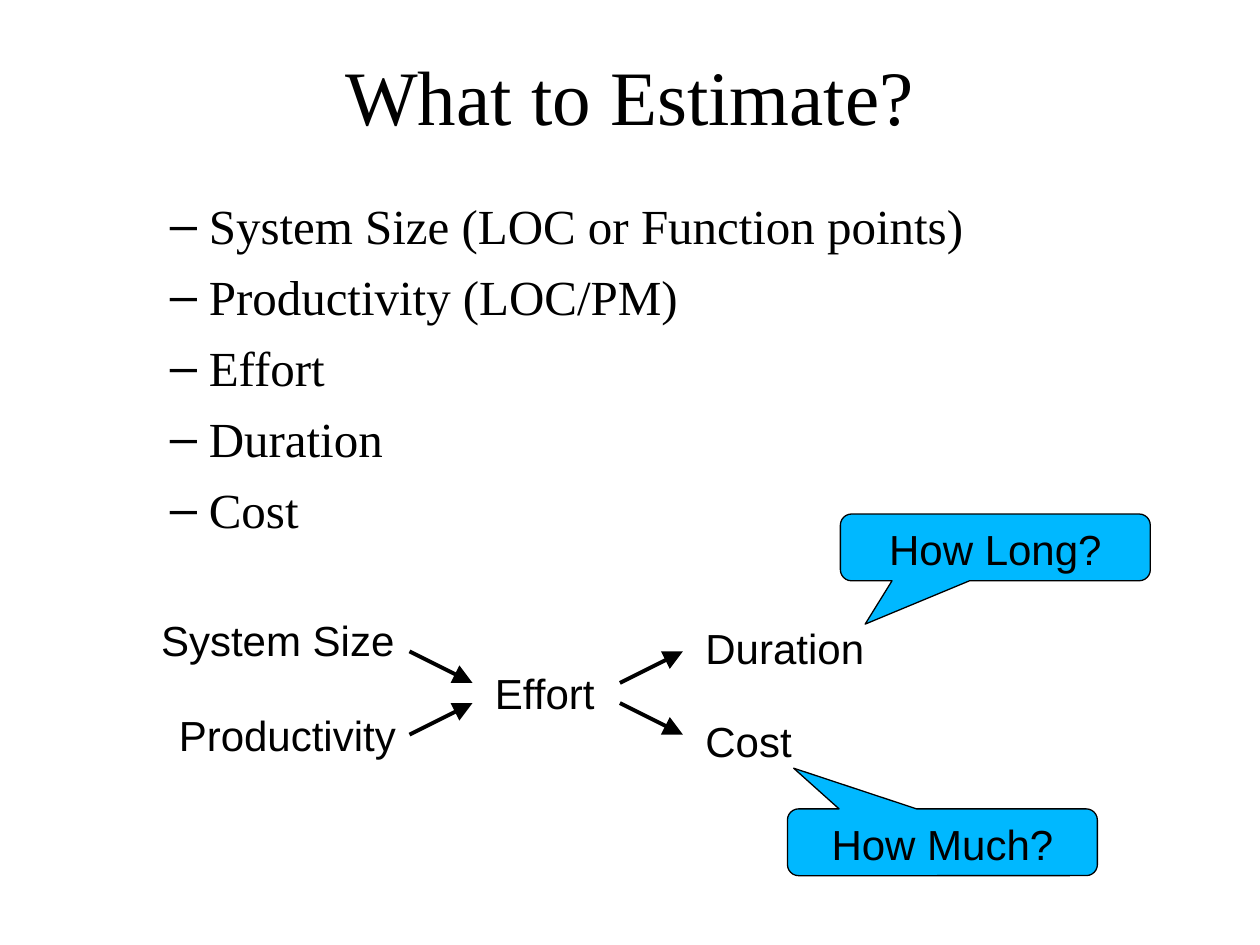
import pptx
import pptx.util
import pptx.dml.color
import pptx.enum.shapes
import pptx.enum.text
import pptx.oxml.ns
import lxml.etree

Inches = pptx.util.Inches
Pt = pptx.util.Pt
ALIGN = pptx.enum.text.PP_ALIGN
ANCHOR = pptx.enum.text.MSO_ANCHOR
BLACK = pptx.dml.color.RGBColor(0x00, 0x00, 0x00)
SKY = pptx.dml.color.RGBColor(0x00, 0xB8, 0xFF)
SERIF, SANS = "Times New Roman", "Arial"

TOPICS = ["System Size (LOC or Function points)", "Productivity (LOC/PM)",
          "Effort", "Duration", "Cost"]


def add_xml(parent, tag, **attributes):
    """Append a DrawingML child element."""
    return lxml.etree.SubElement(parent, pptx.oxml.ns.qn(tag), attributes)


def add_span(para, words, size, font):
    span = para.add_run()
    span.text = words
    span.font.size = Pt(size)
    span.font.name = font
    span.font.color.rgb = BLACK


def add_box(page, left, top, width, height, wrap=True):
    box = page.shapes.add_textbox(
        Inches(left), Inches(top), Inches(width), Inches(height))
    box.text_frame.word_wrap = wrap
    return box.text_frame


def add_title(page, left, top, width, height):
    frame = add_box(page, left, top, width, height)
    frame.vertical_anchor = ANCHOR.MIDDLE
    para = frame.paragraphs[0]
    para.alignment = ALIGN.CENTER
    para.line_spacing = 0.93
    add_span(para, "What to Estimate?", 44, SERIF)


def add_topics(page, left, top, width, height):
    frame = add_box(page, left, top, width, height)
    for index, topic in enumerate(TOPICS):
        para = frame.add_paragraph() if index else frame.paragraphs[0]
        if index:
            para.space_before = Pt(7)
        # Hanging dash bullet
        layout = para._p.get_or_add_pPr()
        layout.set("marL", str(Inches(0.81)))
        layout.set("indent", str(Inches(-0.31)))
        add_xml(add_xml(layout, "a:buClr"), "a:srgbClr", val=str(BLACK))
        add_xml(layout, "a:buFont", typeface=SANS)
        add_xml(layout, "a:buChar", char="–")
        add_span(para, topic, 28, SERIF)


def add_label(page, words, left, top, width, align=ALIGN.LEFT):
    frame = add_box(page, left, top, width, 0.5, wrap=False)
    frame.auto_size = pptx.enum.text.MSO_AUTO_SIZE.SHAPE_TO_FIT_TEXT
    frame.paragraphs[0].alignment = align
    add_span(frame.paragraphs[0], words, 24, SANS)


def add_arrow(page, start_x, start_y, end_x, end_y):
    arrow = page.shapes.add_connector(
        pptx.enum.shapes.MSO_CONNECTOR.STRAIGHT,
        Inches(start_x), Inches(start_y), Inches(end_x), Inches(end_y))
    arrow.line.color.rgb = BLACK
    arrow.line.width = Pt(2.25)
    add_xml(arrow.line._get_or_add_ln(), "a:tailEnd",
            type="triangle", w="lg", len="lg")
    add_xml(arrow._element.spPr, "a:effectLst")


def add_callout(page, words, left, top, tip_x, tip_y):
    """Callout whose tip is given as shares of its size from its centre."""
    callout = page.shapes.add_shape(
        pptx.enum.shapes.MSO_SHAPE.ROUNDED_RECTANGULAR_CALLOUT,
        Inches(left), Inches(top), Inches(2.46), Inches(0.53))
    callout.shadow.inherit = False
    callout.adjustments[0] = tip_x
    callout.adjustments[1] = tip_y
    callout.fill.solid()
    callout.fill.fore_color.rgb = SKY
    callout.line.color.rgb = BLACK
    callout.line.width = Pt(0.75)
    frame = callout.text_frame
    frame.word_wrap = True
    frame.vertical_anchor = ANCHOR.TOP
    frame.paragraphs[0].alignment = ALIGN.CENTER
    add_span(frame.paragraphs[0], words, 24, SANS)


def add_flow(page, left, top):
    """Inputs lead to effort, which leads to the two outputs."""
    # Labels, each box a little wider than its words
    add_label(page, "System Size", left, top, 2.06)
    add_label(page, "Productivity", left + 0.14, top + 0.75, 1.92, ALIGN.CENTER)
    add_label(page, "Effort", left + 2.65, top + 0.42, 1.02)
    add_label(page, "Duration", left + 4.32, top + 0.06, 1.48)
    add_label(page, "Cost", left + 4.32, top + 0.8, 0.95)

    # Arrows mirrored about the middle line
    middle = top + 0.67
    inner, outer = 0.08, 0.33
    for side in (-1, 1):
        near, far = middle + side * inner, middle + side * outer
        add_arrow(page, left + 2.07, far, left + 2.57, near)
        add_arrow(page, left + 3.74, near, left + 4.24, far)

    # Questions answered by the outputs
    add_callout(page, "How Long?", left + 5.49, top - 0.75, -0.42, 1.15)
    add_callout(page, "How Much?", left + 5.07, top + 1.59, -0.48, -1.11)


def main():
    deck = pptx.Presentation()
    deck.slide_width, deck.slide_height = Inches(10), Inches(7.5)
    page = deck.slides.add_slide(deck.slide_layouts[6])
    add_topics(page, 0.75, 1.5, 8.5, 3.08)
    add_title(page, 0.75, 0.17, 8.5, 1.25)
    add_flow(page, 1.18, 4.83)
    deck.save("out.pptx")


if __name__ == "__main__":
    main()
